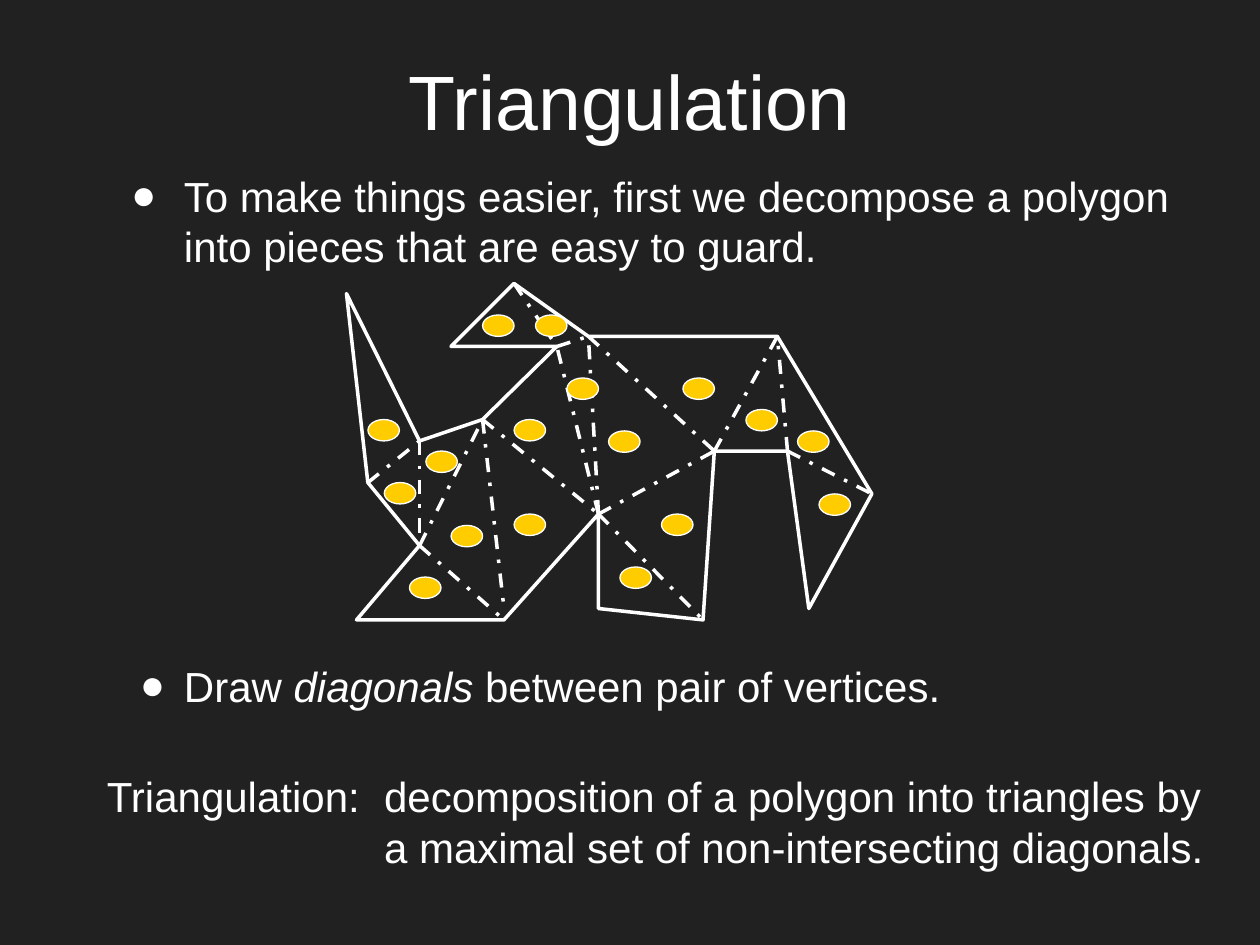
import pptx
import pptx.util
import pptx.dml.color
import pptx.enum.dml
import pptx.enum.shapes
import pptx.enum.text
import pptx.oxml
import pptx.oxml.ns

Inches = pptx.util.Inches
Pt = pptx.util.Pt
RGBColor = pptx.dml.color.RGBColor
PP_ALIGN = pptx.enum.text.PP_ALIGN
MSO_ANCHOR = pptx.enum.text.MSO_ANCHOR

BACKGROUND = RGBColor(0x21, 0x21, 0x21)
WHITE = RGBColor(0xFF, 0xFF, 0xFF)
GOLD = RGBColor(0xFF, 0xCC, 0x00)

VERTICES = {
    "trunk": (2.75, 2.33), "chin": (2.92, 3.83), "throat": (3.33, 4.33),
    "front_toe": (2.83, 4.92), "front_heel": (4, 4.92), "belly": (4.75, 4.08),
    "hind_toe": (4.75, 4.83), "hind_heel": (5.58, 4.92), "groin": (5.67, 3.58),
    "rump": (6.25, 3.58), "tail_tip": (6.42, 4.83), "tail_side": (6.92, 3.92),
    "back": (6.17, 2.67), "shoulder": (4.67, 2.67), "ear_top": (4.08, 2.25),
    "ear_tip": (3.58, 2.75), "ear_base": (4.42, 2.75), "neck": (3.83, 3.33),
    "brow": (3.33, 3.5),
}
FRONT_ANKLE = (4, 4.83)

DIAGONALS = [
    ("belly", "shoulder"), ("chin", "brow"), ("brow", "throat"),
    ("throat", "front_heel"), ("throat", "neck"), ("neck", "belly"),
    ("belly", "ear_base"), ("ear_top", "ear_base"), ("ear_base", "shoulder"),
    ("shoulder", "groin"), ("belly", "groin"), ("belly", "hind_heel"),
    ("groin", "back"), ("rump", "back"), ("rump", "tail_side"),
]

GUARDS = [
    (2.92, 3.33), (3.05, 3.83), (3.38, 3.58), (3.58, 4.17), (3.25, 4.58),
    (4.08, 4.08), (4.08, 3.33), (6.5, 3.92), (3.83, 2.5), (4.25, 2.5),
    (6.33, 3.42), (4.83, 3.42), (4.5, 3), (4.92, 4.5), (5.25, 4.08),
    (5.92, 3.25), (5.42, 3),
]


def assign(target, values):
    for name, value in values.items():
        setattr(target, name, value)


class SlideBuilder:
    font = {"name": "Arial", "size": Pt(24)}
    frame = {"word_wrap": True, "auto_size": pptx.enum.text.MSO_AUTO_SIZE.NONE,
             "vertical_anchor": MSO_ANCHOR.TOP}
    paragraph = {"alignment": PP_ALIGN.LEFT, "space_before": Pt(0)}

    def __init__(self, slide):
        self.slide = slide
        slide.background.fill.solid()
        slide.background.fill.fore_color.rgb = BACKGROUND
        self.figure = slide.shapes.add_group_shape()

    def place(self, holder, box):
        names = ("left", "top", "width", "height")
        assign(holder, dict(zip(names, map(Inches, box))))
        assign(holder.text_frame, self.frame)

    def add_runs(self, paragraph, runs, **font):
        assign(paragraph, self.paragraph)
        for text, italic in runs:
            run = paragraph.add_run()
            run.text = text
            assign(run.font, {**self.font, "italic": italic, **font})
            run.font.color.rgb = WHITE

    def indent(self, paragraph, margin, first):
        properties = paragraph._p.get_or_add_pPr()
        properties.set("marL", str(Inches(margin)))
        properties.set("indent", str(Inches(first)))
        return properties

    def title(self, text, box):
        holder = self.slide.shapes.title
        self.place(holder, box)
        holder.text_frame.vertical_anchor = MSO_ANCHOR.MIDDLE
        heading = holder.text_frame.paragraphs[0]
        self.add_runs(heading, [(text, False)], size=Pt(44))
        heading.alignment = PP_ALIGN.CENTER

    def bullet(self, holder, runs, box, hanging):
        self.place(holder, box)
        point = holder.text_frame.paragraphs[0]
        self.add_runs(point, runs)
        properties = self.indent(point, 0.5, -hanging)
        namespace = pptx.oxml.ns.nsdecls("a")
        for xml in (f'<a:buClr {namespace}><a:srgbClr val="{WHITE}"/></a:buClr>',
                    f'<a:buChar {namespace} char="●"/>'):
            properties.append(pptx.oxml.parse_xml(xml))

    def definition(self, term, lines, box, margin):
        holder = self.slide.shapes.add_textbox(*map(Inches, box))
        self.place(holder, box)
        first = holder.text_frame.paragraphs[0]
        self.add_runs(first, [(f"{term}\t{lines[0]}", False)])
        self.indent(first, margin, -margin)
        for line in lines[1:]:
            following = holder.text_frame.add_paragraph()
            self.add_runs(following, [(line, False)])
            self.indent(following, margin, 0)

    def outline(self, line, width):
        line.color.rgb = WHITE
        line.width = Pt(width)

    def polygon(self, points):
        corners = [tuple(map(Inches, point)) for point in points]
        builder = self.figure.shapes.build_freeform(*corners[0])
        builder.add_line_segments(corners[1:], close=True)
        polygon = builder.convert_to_shape()
        polygon.shadow.inherit = False
        polygon.fill.background()
        self.outline(polygon.line, 2)

    def diagonal(self, start, end):
        diagonal = self.figure.shapes.add_connector(
            pptx.enum.shapes.MSO_CONNECTOR.STRAIGHT, *map(Inches, start + end))
        self.outline(diagonal.line, 2)
        diagonal.line.dash_style = pptx.enum.dml.MSO_LINE.DASH_DOT
        diagonal._element.spPr.append(pptx.oxml.parse_xml(
            f'<a:effectLst {pptx.oxml.ns.nsdecls("a")}/>'))

    def guard(self, left, top):
        guard = self.slide.shapes.add_shape(
            pptx.enum.shapes.MSO_SHAPE.OVAL,
            *map(Inches, (left, top, 0.25, 0.17)))
        guard.shadow.inherit = False
        guard.fill.solid()
        guard.fill.fore_color.rgb = GOLD
        self.outline(guard.line, 0.75)


def main():
    presentation = pptx.Presentation()
    assign(presentation, {"slide_width": Inches(10), "slide_height": Inches(7.5)})
    slide = presentation.slides.add_slide(presentation.slide_layouts[3])
    builder = SlideBuilder(slide)
    builder.title("Triangulation", (0.75, 0.17, 8.5, 1.25))

    builder.polygon(list(VERTICES.values()))
    for start, end in DIAGONALS:
        builder.diagonal(VERTICES[start], VERTICES[end])
    builder.diagonal(VERTICES["neck"], FRONT_ANKLE)

    builder.bullet(
        slide.placeholders[1],
        [("To make things easier, first we decompose a polygon "
          "into pieces that are easy to guard.", False)],
        (0.86, 1.3, 8.68, 0.97), 0.42)
    builder.bullet(
        slide.placeholders[2],
        [("Draw ", False), ("diagonals", True),
         (" between pair of vertices.", False)],
        (0.86, 5.19, 7.24, 0.52), 0.35)
    builder.definition(
        "Triangulation:",
        ["decomposition of a polygon into triangles by",
         "a maximal set of non-intersecting diagonals."],
        (0.75, 6.07, 9.05, 0.97), 2.2)

    for left, top in GUARDS:
        builder.guard(left, top)
    presentation.save("out.pptx")


if __name__ == "__main__":
    main()
